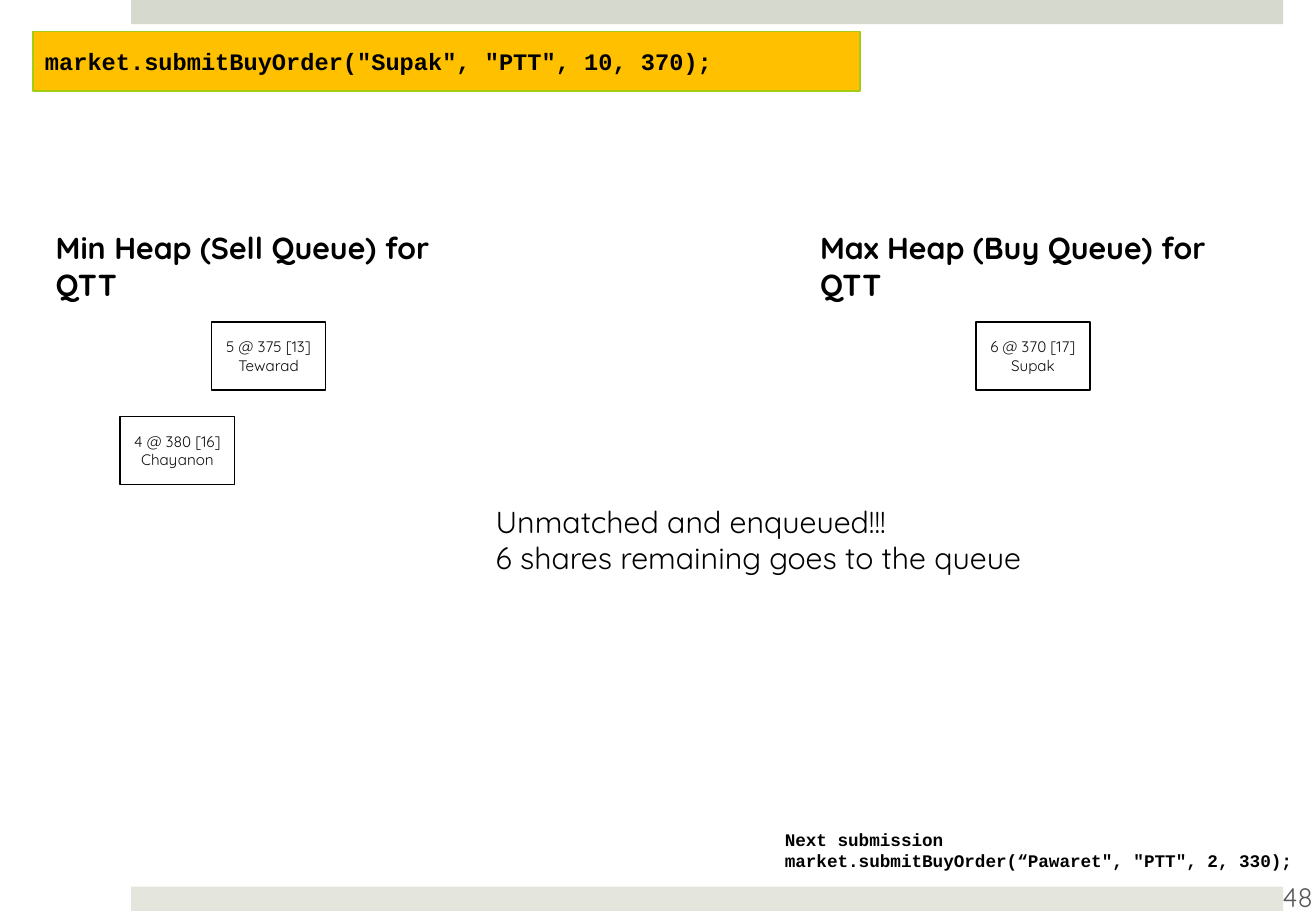
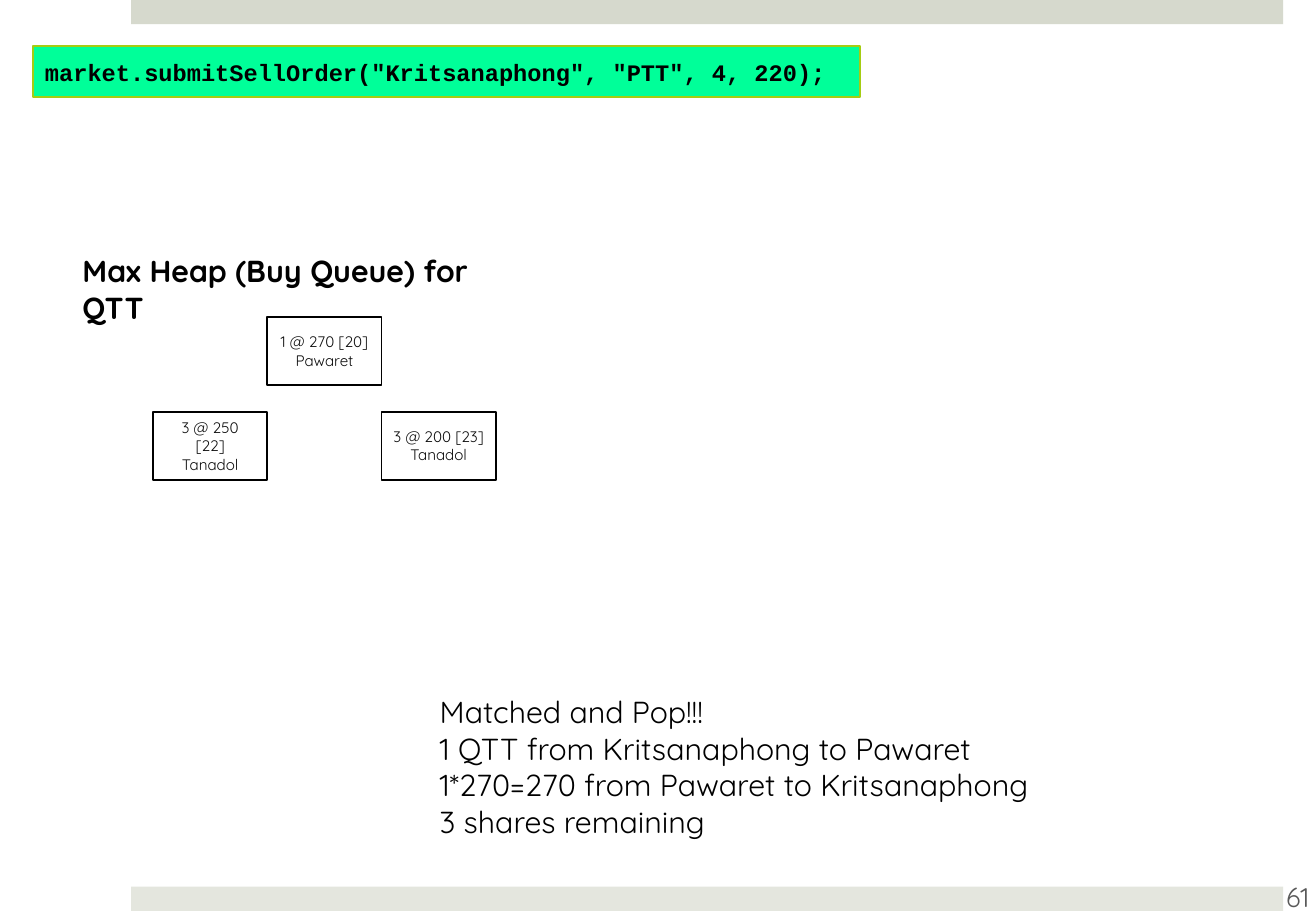
from dataclasses import dataclass

from pptx import Presentation
from pptx.dml.color import RGBColor
from pptx.enum import shapes, text
from pptx.util import Inches, Pt

BLACK = RGBColor(0x00, 0x00, 0x00)
NODE_TEXT = RGBColor(0x0D, 0x0D, 0x0D)
NUMBER_GREY = RGBColor(0x59, 0x59, 0x59)
TOP_BAND = RGBColor(0xD6, 0xD9, 0xCD)
BOTTOM_BAND = RGBColor(0xE4, 0xE6, 0xDE)
BUY_ORANGE = RGBColor(0xFF, 0xC0, 0x00)
SELL_GREEN = RGBColor(0x00, 0xFF, 0x99)
CALL_BORDER = RGBColor(0xA5, 0xCC, 0x12)

BODY_FONT = "Quicksand"
CODE_FONT = "Courier New"
NODE_WIDTH, NODE_HEIGHT = 0.94, 0.56
LEVEL_DROP = 0.78
SIDES = (0, -1, 1)  # root, left child, right child


@dataclass(frozen=True)
class Box:
    left: float
    top: float
    width: float
    height: float

    def lengths(self):
        return [Inches(v) for v in (self.left, self.top, self.width, self.height)]


@dataclass(frozen=True)
class Order:
    offer: str
    trader: str


@dataclass(frozen=True)
class Heap:
    heading: str
    heading_box: Box
    root_left: float
    root_top: float
    child_step: float
    orders: tuple[Order, ...]


@dataclass(frozen=True)
class Call:
    code: str
    box: Box
    fill: RGBColor


def write(frame, lines, *, size, font=BODY_FONT, color=BLACK, bold=False,
          align=text.PP_ALIGN.LEFT, anchor=text.MSO_ANCHOR.TOP):
    """Fill a text frame with one paragraph per line."""
    frame.word_wrap = True
    frame.auto_size = text.MSO_AUTO_SIZE.NONE
    frame.vertical_anchor = anchor
    frame.text = "\n".join(lines)
    for paragraph in frame.paragraphs:
        paragraph.alignment = align
        for run in paragraph.runs:
            run.font.name = font
            run.font.size = Pt(size)
            run.font.bold = bold
            run.font.color.rgb = color


def add_text(slide, box: Box, *lines: str, **style) -> None:
    write(slide.shapes.add_textbox(*box.lengths()).text_frame, lines, **style)


def add_rectangle(slide, box: Box):
    rectangle = slide.shapes.add_shape(shapes.MSO_SHAPE.RECTANGLE, *box.lengths())
    rectangle.shadow.inherit = False
    return rectangle


def add_band(slide, top: float, color: RGBColor) -> None:
    band = add_rectangle(slide, Box(1.08, top, 9.48, 0.2))
    band.fill.solid()
    band.fill.fore_color.rgb = color
    band.line.fill.background()


def add_order_slide(deck, number: int, call: Call):
    """Add a slide with bands, page number and the method call as its title."""
    slide = deck.slides.add_slide(deck.slide_layouts[5])
    add_band(slide, 0, TOP_BAND)
    add_band(slide, 7.3, BOTTOM_BAND)
    add_text(slide, Box(10.41, 7.18, 0.54, 0.4), str(number), size=16,
             color=NUMBER_GREY, align=text.PP_ALIGN.CENTER,
             anchor=text.MSO_ANCHOR.MIDDLE)

    title = slide.shapes.title
    title.left, title.top, title.width, title.height = call.box.lengths()
    title.fill.solid()
    title.fill.fore_color.rgb = call.fill
    title.line.color.rgb = CALL_BORDER
    title.line.width = Pt(1)
    write(title.text_frame, [call.code], size=14, font=CODE_FONT, bold=True,
          anchor=text.MSO_ANCHOR.MIDDLE)
    return slide


def add_heap(slide, heap: Heap) -> None:
    add_text(slide, heap.heading_box, heap.heading, size=18, bold=True)
    for side, order in zip(SIDES, heap.orders):
        node = add_rectangle(slide, Box(
            heap.root_left + side * heap.child_step,
            heap.root_top + abs(side) * LEVEL_DROP, NODE_WIDTH, NODE_HEIGHT))
        node.fill.background()
        node.line.color.rgb = BLACK
        node.line.width = Pt(1)
        write(node.text_frame, [order.offer, order.trader], size=9,
              color=NODE_TEXT, align=text.PP_ALIGN.CENTER,
              anchor=text.MSO_ANCHOR.MIDDLE)


def add_unmatched_buy(deck) -> None:
    slide = add_order_slide(deck, 48, Call(
        'market.submitBuyOrder("Supak", "PTT", 10, 370);',
        Box(0.27, 0.26, 6.81, 0.49), BUY_ORANGE))
    add_heap(slide, Heap(
        "Min Heap (Sell Queue) for QTT", Box(0.36, 1.84, 3.77, 0.4),
        1.74, 2.65, 0.75,
        (Order("5 @ 375 [13]", "Tewarad"), Order("4 @ 380 [16]", "Chayanon"))))
    add_heap(slide, Heap(
        "Max Heap (Buy Queue) for QTT", Box(6.65, 1.84, 3.89, 0.4),
        8.03, 2.65, 0.75, (Order("6 @ 370 [17]", "Supak"),)))
    add_text(slide, Box(3.98, 4.09, 4.82, 0.71), "Unmatched and enqueued!!!",
             "6 shares remaining goes to the queue", size=18)
    add_text(slide, Box(6.36, 6.77, 4.39, 0.45), "Next submission",
             'market.submitBuyOrder(“Pawaret", "PTT", 2, 330);',
             size=10.5, font=CODE_FONT, bold=True)


def add_matched_sell(deck) -> None:
    slide = add_order_slide(deck, 61, Call(
        'market.submitSellOrder("Kritsanaphong", "PTT", 4, 220);',
        Box(0.27, 0.38, 6.81, 0.42), SELL_GREEN))
    add_heap(slide, Heap(
        "Max Heap (Buy Queue) for QTT", Box(0.58, 2.03, 3.89, 0.4),
        2.2, 2.61, NODE_WIDTH,
        (Order("1 @ 270 [20]", "Pawaret"), Order("3 @ 250 [22]", "Tanadol"),
         Order("3 @ 200 [23]", "Tanadol"))))
    add_text(slide, Box(3.52, 5.66, 5.33, 1.31), "Matched and Pop!!!",
             "1 QTT from Kritsanaphong to Pawaret",
             "1*270=270 from Pawaret to Kritsanaphong",
             "3 shares remaining", size=18)


def main() -> None:
    deck = Presentation()
    deck.slide_width, deck.slide_height = Inches(10.83), Inches(7.5)
    add_unmatched_buy(deck)
    add_matched_sell(deck)
    deck.save("out.pptx")


if __name__ == "__main__":
    main()
